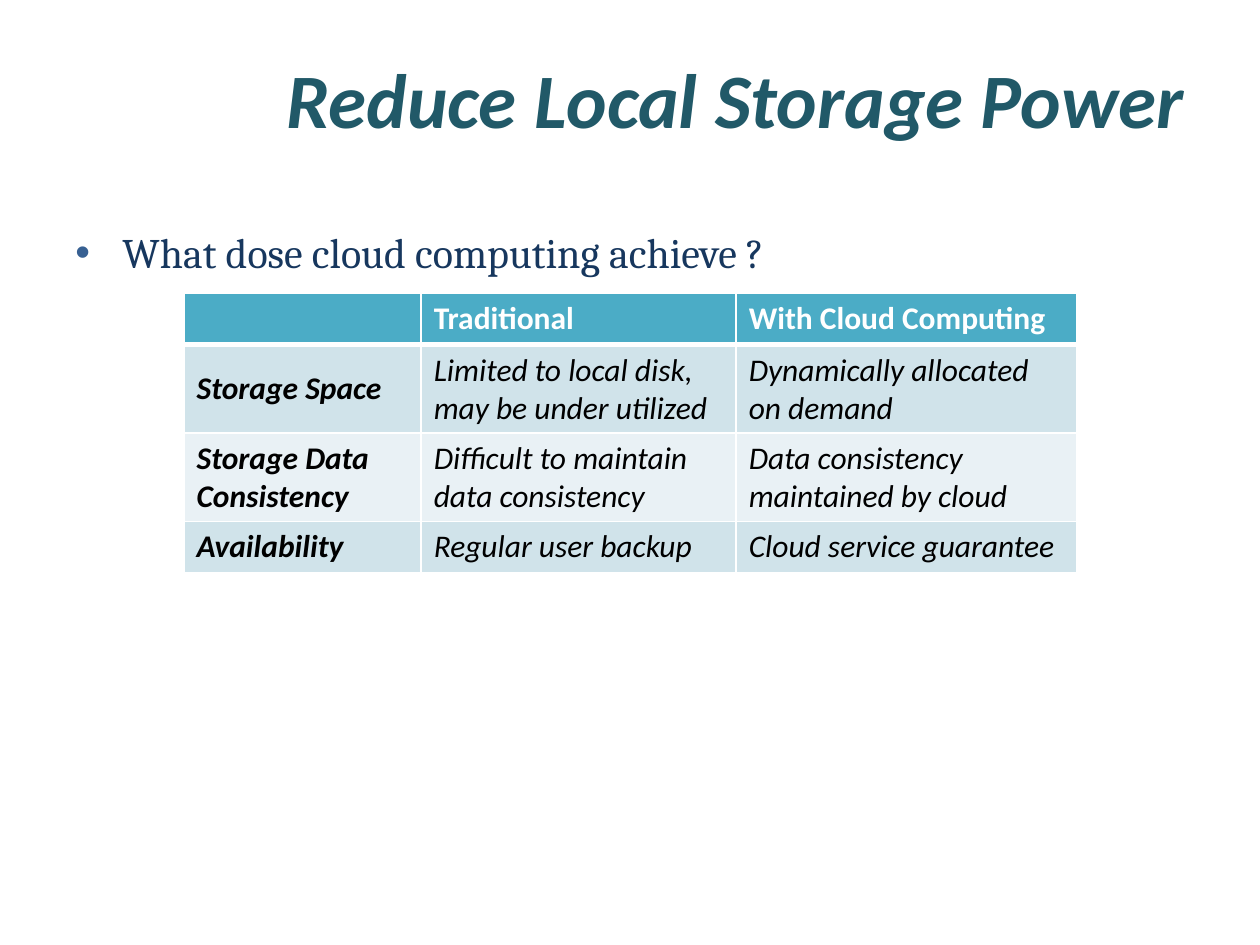
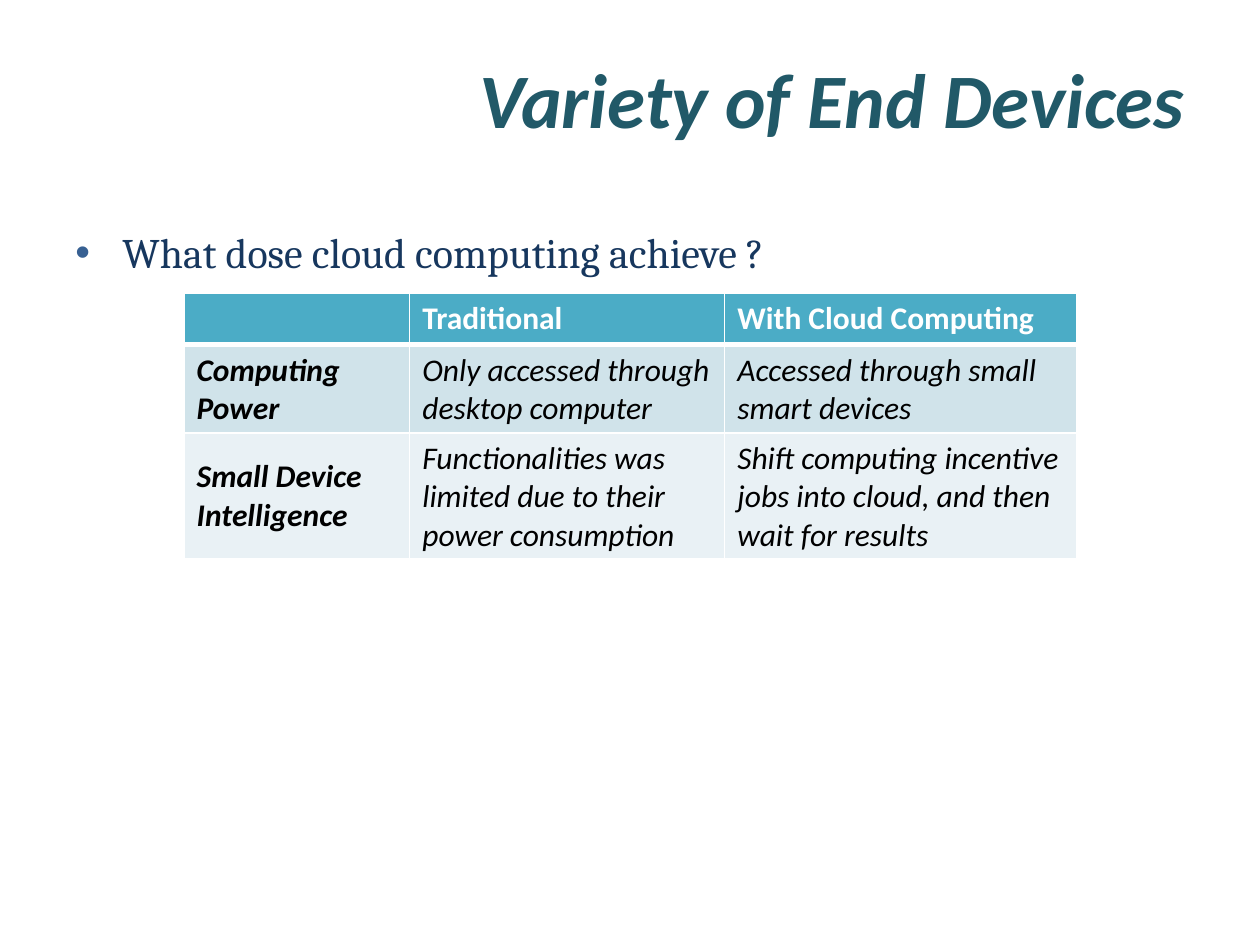
from lxml.etree import SubElement
from pptx import Presentation
from pptx.dml.color import RGBColor
from pptx.enum.text import MSO_ANCHOR, PP_ALIGN
from pptx.oxml import parse_xml
from pptx.oxml.ns import nsdecls, qn
from pptx.util import Cm, Pt

COLORS = {
    "title": "215968",
    "lead": "17375E",
    "bullet": "376092",
    "head": "4BACC6",
    "odd": "D0E3EA",
    "even": "E9F1F5",
    "white": "FFFFFF",
    "black": "000000",
}
SANS, SERIF = "Calibri", "Cambria"
LEFT, WIDTH = 1.27, 22.86


class Deck:
    def __init__(self):
        self.deck = Presentation()
        self.deck.slide_width, self.deck.slide_height = Cm(25.4), Cm(19.05)
        self.slide = None

    def start(self):
        self.slide = self.deck.slides.add_slide(self.deck.slide_layouts[6])

    def add_text(self, para, text, size, color, face=SANS, bold=False, slant=False):
        run = para.add_run()
        run.text = text
        font = run.font
        font.name, font.size = face, Pt(size)
        font.bold, font.italic = bold, slant
        font.color.rgb = RGBColor.from_string(COLORS[color])

    def frame(self, top, height):
        box = self.slide.shapes.add_textbox(Cm(LEFT), Cm(top), Cm(WIDTH), Cm(height))
        box.text_frame.word_wrap = True
        return box.text_frame

    def title(self, text):
        frame = self.frame(0.76, 2.41)
        frame.vertical_anchor = MSO_ANCHOR.MIDDLE
        para = frame.paragraphs[0]
        para.alignment = PP_ALIGN.RIGHT
        self.add_text(para, text, 44, "title", bold=True, slant=True)

    def bullet(self, text):
        para = self.frame(4.45, 1.47).paragraphs[0]
        props = para._p.get_or_add_pPr()
        props.set("marL", str(Cm(0.95)))
        props.set("indent", str(Cm(-0.95)))
        tint = SubElement(props, qn("a:buClr"))
        SubElement(tint, qn("a:srgbClr"), val=COLORS["bullet"])
        SubElement(props, qn("a:buFont"), typeface="Arial")
        SubElement(props, qn("a:buChar"), char="•")
        self.add_text(para, text, 24, "lead", SERIF)

    def border(self, cell, row):
        props = cell._tc.get_or_add_tcPr()
        thick = {"T": 3 if row == 1 else 1, "B": 3 if row == 0 else 1}
        for spot, side in enumerate("LRTB"):
            props.insert(spot, parse_xml(
                f'<a:ln{side} {nsdecls("a")} w="{Pt(thick.get(side, 1))}">'
                f'<a:solidFill><a:srgbClr val="{COLORS["white"]}"/></a:solidFill>'
                f'</a:ln{side}>'))

    def table(self, widths, rows):
        high = 1.03
        grid = self.slide.shapes.add_table(
            len(rows), len(widths), Cm(3.71), Cm(5.92),
            Cm(sum(widths)), Cm(high * len(rows))).table
        for col, width in zip(grid.columns, widths):
            col.width = Cm(width)
        for r, texts in enumerate(rows):
            head = r == 0
            shade = "head" if head else "odd" if r % 2 else "even"
            for c, text in enumerate(texts):
                cell = grid.cell(r, c)
                cell.fill.solid()
                cell.fill.fore_color.rgb = RGBColor.from_string(COLORS[shade])
                self.border(cell, r)
                if not head:
                    cell.vertical_anchor = MSO_ANCHOR.MIDDLE
                if text:
                    self.add_text(cell.text_frame.paragraphs[0], text, 18,
                                  "white" if head else "black",
                                  bold=head or c == 0, slant=not head)

    def save(self):
        self.deck.save("out.pptx")


HEAD = ("", "Traditional", "With Cloud Computing")
PAGES = [
    ("Reduce Local Storage Power", (4.78, 6.35, 6.87), [
        ("Storage Space", "Limited to local disk, may be under utilized",
         "Dynamically allocated on demand"),
        ("Storage Data Consistency", "Difficult to maintain data consistency",
         "Data consistency maintained by cloud"),
        ("Availability", "Regular user backup", "Cloud service guarantee"),
    ]),
    ("Variety of End Devices", (4.55, 6.35, 7.1), [
        ("Computing Power", "Only accessed through desktop computer",
         "Accessed through small smart devices"),
        ("Small Device Intelligence",
         "Functionalities was limited due to their power consumption",
         "Shift computing incentive jobs into cloud, and then wait for results"),
    ]),
]


def main():
    deck = Deck()
    for title, widths, rows in PAGES:
        deck.start()
        deck.title(title)
        deck.table(widths, [HEAD, *rows])
        deck.bullet("What dose cloud computing achieve ?")
    deck.save()


if __name__ == "__main__":
    main()
